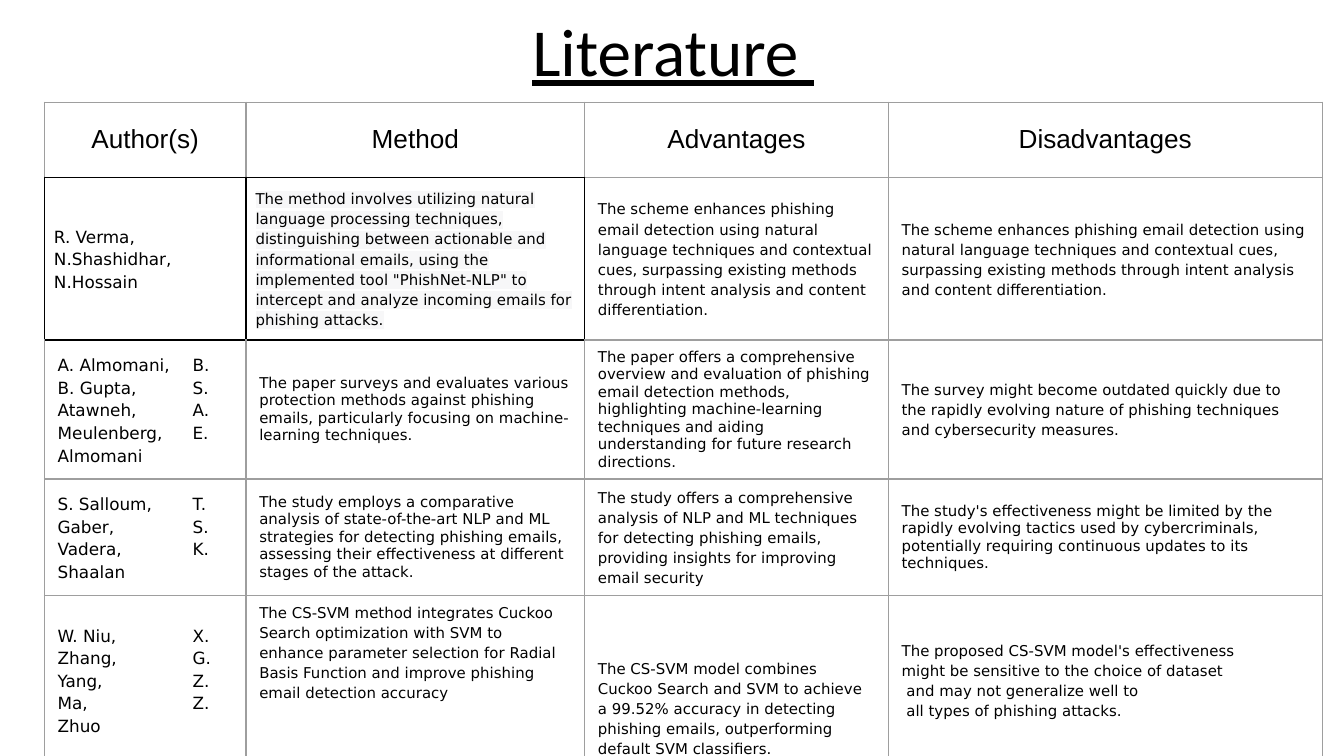
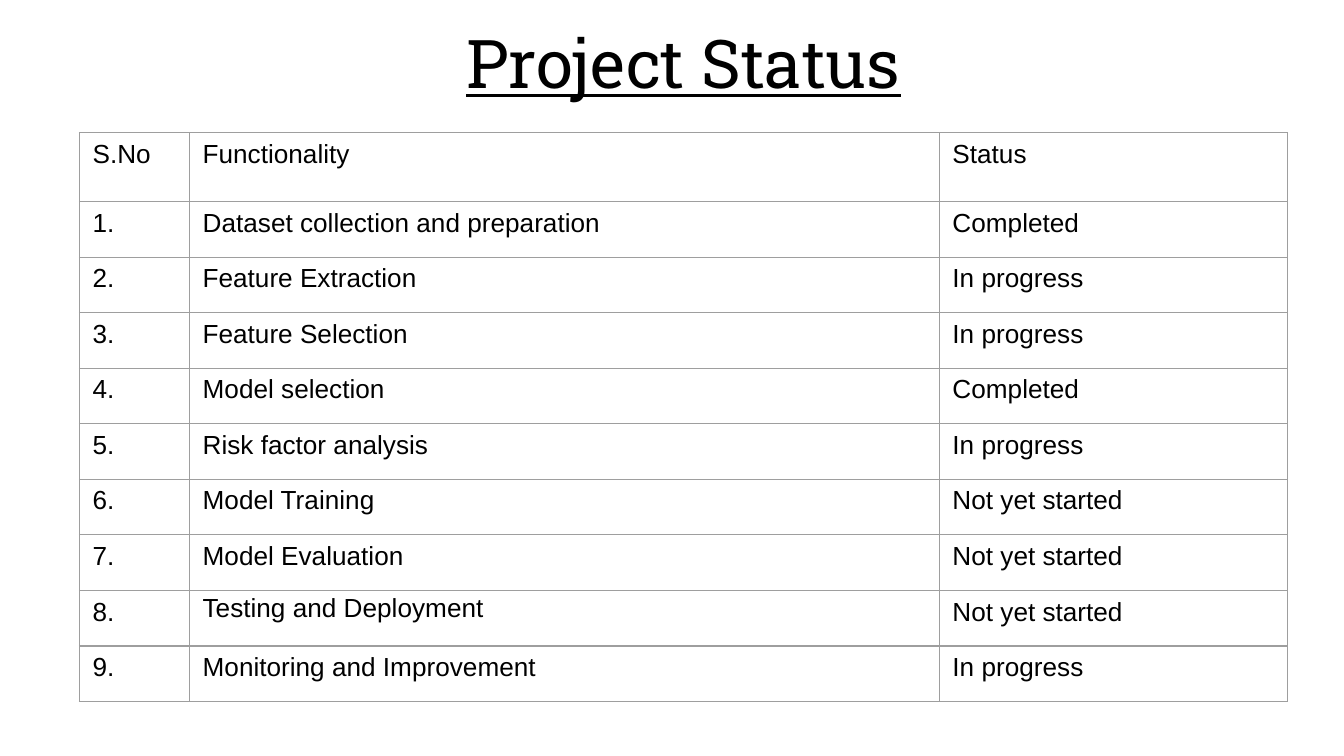
from collections import namedtuple

import lxml.etree
import pptx
import pptx.dml.color
import pptx.enum.text
import pptx.oxml.ns
import pptx.util

Cm, Pt = pptx.util.Cm, pptx.util.Pt
ANCHOR = pptx.enum.text.MSO_ANCHOR
ALIGN = pptx.enum.text.PP_ALIGN
qn = pptx.oxml.ns.qn

BLACK = pptx.dml.color.RGBColor(0, 0, 0)
WHITE = pptx.dml.color.RGBColor(255, 255, 255)
GREY = pptx.dml.color.RGBColor(0x9E, 0x9E, 0x9E)
PALE = pptx.dml.color.RGBColor(0xF7, 0xF7, 0xF8)

Style = namedtuple(
    "Style", "font size spacing before after anchor align tab",
    defaults=(None, 0, 0, ANCHOR.MIDDLE, None, None))
HEADER = Style("Arial", 14, align=ALIGN.CENTER)
AUTHOR = Style("DejaVu Sans", 9, 1.15, 6, 6, tab=Cm(2.55))
SPACED = Style("DejaVu Sans", 8, 1.15, 12, 12)
SINGLE = Style("DejaVu Sans", 8)
LINES = SINGLE._replace(spacing=1.15)
TOP = SPACED._replace(anchor=ANCHOR.TOP)
BOTTOM = SPACED._replace(after=0, anchor=ANCHOR.BOTTOM)
STATUS = Style("Arial", 14, anchor=ANCHOR.TOP)

SCHEME = ("The scheme enhances phishing email detection using natural language techniques "
          "and contextual cues, surpassing existing methods through intent analysis and "
          "content differentiation.")
LITERATURE = [
    [(name, HEADER) for name in ("Author(s)", "Method", "Advantages", "Disadvantages")],
    [("R. Verma, N.Shashidhar, N.Hossain", AUTHOR),
     ("The method involves utilizing natural language processing techniques, distinguishing "
      "between actionable and informational emails, using the implemented tool "
      "\"PhishNet-NLP\" to intercept and analyze incoming emails for phishing attacks.", SPACED),
     (SCHEME, SPACED),
     (SCHEME, SPACED)],
    [("A. Almomani,\tB.\nB. Gupta,\tS.\nAtawneh,\tA.\nMeulenberg,\tE.\nAlmomani", AUTHOR),
     ("The paper surveys and evaluates various protection methods against phishing emails, "
      "particularly focusing on machine-learning techniques.", SINGLE),
     ("The paper offers a comprehensive overview and evaluation of phishing email detection "
      "methods, highlighting machine-learning techniques and aiding understanding for future "
      "research directions.", SINGLE),
     ("The survey might become outdated quickly due to the rapidly evolving nature of "
      "phishing techniques and cybersecurity measures.", SPACED)],
    [("S. Salloum,\tT.\nGaber,\tS.\nVadera,\tK.\nShaalan", AUTHOR),
     ("The study employs a comparative analysis of state-of-the-art NLP and ML strategies for "
      "detecting phishing emails, assessing their effectiveness at different stages of the "
      "attack.", SINGLE),
     ("The study offers a comprehensive analysis of NLP and ML techniques for detecting "
      "phishing emails, providing insights for improving email security", SPACED),
     ("The study's effectiveness might be limited by the rapidly evolving tactics used by "
      "cybercriminals, potentially requiring continuous updates to its techniques.", SINGLE)],
    [("W. Niu,\tX.\nZhang,\tG.\nYang,\tZ.\nMa,\tZ.\nZhuo", AUTHOR),
     ("The CS-SVM method integrates Cuckoo Search optimization with SVM to enhance parameter "
      "selection for Radial Basis Function and improve phishing email detection accuracy", TOP),
     ("The CS-SVM model combines Cuckoo Search and SVM to achieve a 99.52% accuracy in "
      "detecting phishing emails, outperforming default SVM classifiers.", BOTTOM),
     (["The proposed CS-SVM model's effectiveness",
       "might be sensitive to the choice of dataset",
       " and may not generalize well to",
       " all types of phishing attacks."], LINES)],
]
OUTLINED = {(1, 0), (1, 1)}
HIGHLIGHTED = (1, 1)

TASKS = [
    ("Dataset collection and preparation", "Completed"),
    ("Feature Extraction", "In progress"),
    ("Feature Selection", "In progress"),
    ("Model selection", "Completed"),
    ("Risk factor analysis", "In progress"),
    ("Model Training", "Not yet started"),
    ("Model Evaluation", "Not yet started"),
    ("", "Not yet started"),
    ("Monitoring and Improvement", "In progress"),
]
PROJECT = [("S.No", "Functionality", "Status")]
PROJECT += [(f"{n}.", task, status) for n, (task, status) in enumerate(TASKS, 1)]

SIDES = {"lnL": (0, -1), "lnR": (0, 1), "lnT": (-1, 0), "lnB": (1, 0)}


def add_run(p, text, font, size, underline=None):
    r = p.add_run()
    r.text = text
    r.font.size = Pt(size)
    r.font.underline = underline
    r.font.color.rgb = BLACK
    r.font.name = font
    return r


def add_text(slide, box, text, font, size, anchor=ANCHOR.TOP, align=None, underline=None):
    sp = slide.shapes.add_textbox(*(Cm(v) for v in box))
    tf = sp.text_frame
    tf.word_wrap = True
    tf.vertical_anchor = anchor
    p = tf.paragraphs[0]
    p.alignment = align
    add_run(p, text, font, size, underline)


def add_title(slide, box, text, font):
    add_text(slide, box, text, font, 36, ANCHOR.MIDDLE, ALIGN.CENTER, True)


def add_color(parent, tag, color):
    node = lxml.etree.SubElement(parent, qn(tag))
    lxml.etree.SubElement(node, qn("a:srgbClr"), val=str(color))
    return node


def set_borders(cell, row, col, outlined):
    tc_pr = cell._tc.get_or_add_tcPr()
    for side, (dr, dc) in SIDES.items():
        dark = outlined & {(row, col), (row + dr, col + dc)}
        ln = lxml.etree.SubElement(tc_pr, qn(f"a:{side}"), w=str(Pt(0.75)))
        add_color(ln, "a:solidFill", BLACK if dark else GREY)


def highlight(r):
    r_pr = r._r.get_or_add_rPr()
    r_pr.find(qn("a:latin")).addprevious(add_color(r_pr, "a:highlight", PALE))


def fill_cell(cell, text, style, marked):
    tf = cell.text_frame
    cell.vertical_anchor = style.anchor
    paragraphs = [text] if isinstance(text, str) else text
    for i, lines in enumerate(paragraphs):
        p = tf.add_paragraph() if i else tf.paragraphs[0]
        p.alignment = style.align
        p.line_spacing = style.spacing
        p.space_before = Pt(style.before)
        p.space_after = Pt(style.after)
        if style.tab:
            tabs = lxml.etree.SubElement(p._p.get_or_add_pPr(), qn("a:tabLst"))
            lxml.etree.SubElement(tabs, qn("a:tab"), pos=str(style.tab), algn="l")
        for j, line in enumerate(lines.split("\n")):
            if j:
                p.add_line_break()
            r = add_run(p, line, style.font, style.size)
            if marked:
                highlight(r)


def add_table(slide, left, top, widths, heights, rows, outlined=frozenset(), marked=None):
    frame = slide.shapes.add_table(len(heights), len(widths), Cm(left), Cm(top),
                                   Cm(sum(widths)), Cm(sum(heights)))
    table = frame.table
    table.first_row = table.horz_banding = False
    for column, width in zip(table.columns, widths):
        column.width = Cm(width)
    for table_row, height in zip(table.rows, heights):
        table_row.height = Cm(height)
    for row, entries in enumerate(rows):
        for col, (text, style) in enumerate(entries):
            cell = table.cell(row, col)
            tight = (row, col) in outlined
            cell.margin_left = cell.margin_right = Cm(0.18 if tight else 0.25)
            cell.margin_top = cell.margin_bottom = Cm(0.18 if tight else 0.13)
            set_borders(cell, row, col, outlined)
            if (row, col) == marked:
                cell.fill.solid()
                cell.fill.fore_color.rgb = WHITE
            else:
                cell.fill.background()
            fill_cell(cell, text, style, (row, col) == marked)


def main():
    prs = pptx.Presentation()
    prs.slide_width, prs.slide_height = Cm(25.4), Cm(14.29)
    blank = prs.slide_layouts[6]

    slide = prs.slides.add_slide(blank)
    add_title(slide, (4.22, 0.25, 17, 1.37), "Literature ", "Calibri")
    add_table(slide, 0.84, 1.93, (3.81, 6.4, 5.74, 8.2), (1.42, 3, 2.59, 2.16, 3.2),
              LITERATURE, OUTLINED, HIGHLIGHTED)

    slide = prs.slides.add_slide(blank)
    add_title(slide, (4.42, 0.3, 17, 1.75), "Project Status", "Roboto Slab")
    add_table(slide, 1.5, 2.51, (2.08, 14.17, 6.58), [1.3] + [1.05] * len(TASKS),
              [[(text, STATUS) for text in row] for row in PROJECT])
    add_text(slide, (3.58, 11.05, 8.38, 0.86), "Testing and Deployment", "Arial", 14)

    prs.save("out.pptx")


if __name__ == "__main__":
    main()
